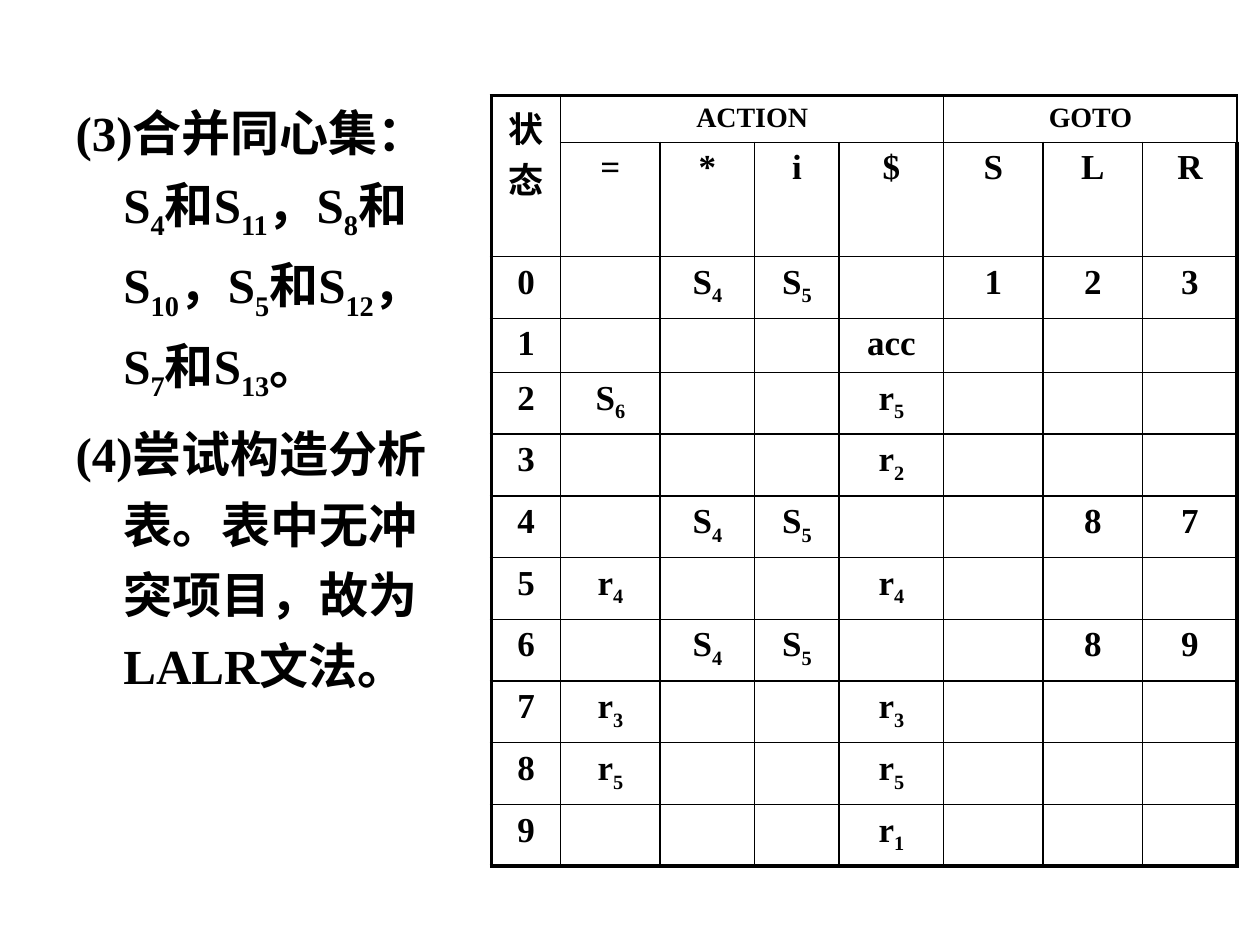
from lxml.etree import SubElement
from pptx import Presentation
from pptx.dml.color import RGBColor
from pptx.enum.text import MSO_ANCHOR, MSO_AUTO_SIZE, PP_ALIGN
from pptx.oxml.ns import qn
from pptx.util import Inches, Pt

COLORS = {"ink": "000000"}
BODY = {"size": Pt(28), "bold": True, "name": "Times New Roman"}
CELL = {**BODY, "size": Pt(20)}
GROUP = {**BODY, "size": Pt(16)}

NOTES = [
    "(3)合并同心集：S_4_和S_11_，S_8_和S_10_，S_5_和S_12_，S_7_和S_13_。",
    "(4)尝试构造分析表。表中无冲突项目，故为LALR文法。",
]
COLUMNS = [0.55, 0.79, 0.75, 0.67, 0.83, 0.79, 0.79, 0.75]
ROW_HEIGHTS = [0.37, 0.43, 0.49, 0.43] + [0.49] * 8
MERGES = [(0, 0, 1, 0), (0, 1, 0, 4), (0, 5, 0, 7)]
PARSE_TABLE = [
    ["状态", "ACTION", "", "", "", "GOTO", "", ""],
    ["", "=", "*", "i", "$", "S", "L", "R"],
    ["0", "", "S_4", "S_5", "", "1", "2", "3"],
    ["1", "", "", "", "acc", "", "", ""],
    ["2", "S_6", "", "", "r_5", "", "", ""],
    ["3", "", "", "", "r_2", "", "", ""],
    ["4", "", "S_4", "S_5", "", "", "8", "7"],
    ["5", "r_4", "", "", "r_4", "", "", ""],
    ["6", "", "S_4", "S_5", "", "", "8", "9"],
    ["7", "r_3", "", "", "r_3", "", "", ""],
    ["8", "r_5", "", "", "r_5", "", "", ""],
    ["9", "", "", "", "r_1", "", "", ""],
]


class SlideBuilder:
    def __init__(self, prs):
        self.s = prs.slides.add_slide(prs.slide_layouts[1])
        title = self.s.shapes.title._element
        title.getparent().remove(title)

    def add_text(self, p, text, style):
        for i, part in enumerate(text.split("_")):
            if not part:
                continue
            r = p.add_run()
            r.text = part
            for key, value in style.items():
                setattr(r.font, key, value)
            r.font.color.rgb = RGBColor.from_string(COLORS["ink"])
            if i % 2:
                r.font._element.set("baseline", "-25000")

    def body(self, paragraphs, left, top, width, height):
        sp = self.s.placeholders[1]
        sp.left, sp.top = Inches(left), Inches(top)
        sp.width, sp.height = Inches(width), Inches(height)
        tf = sp.text_frame
        tf.word_wrap = True
        tf.auto_size = MSO_AUTO_SIZE.NONE
        tf.vertical_anchor = MSO_ANCHOR.TOP
        for i, text in enumerate(paragraphs):
            p = tf.add_paragraph() if i else tf.paragraphs[0]
            p.line_spacing = 1.2
            p.space_before = Pt(5.6 if i else 0)
            pPr = p._p.get_or_add_pPr()
            pPr.set("marL", str(Inches(0.38)))
            pPr.set("indent", str(Inches(-0.38)))
            SubElement(pPr, qn("a:buNone"))
            self.add_text(p, text, BODY)

    def border(self, cell, outer):
        tcPr = cell._tc.get_or_add_tcPr()
        for side in "LRTB":
            width = Pt(2.25 if side in outer else 1)
            ln = SubElement(tcPr, qn(f"a:ln{side}"), w=str(width))
            fill = SubElement(ln, qn("a:solidFill"))
            SubElement(fill, qn("a:srgbClr"), val=COLORS["ink"])

    def table(self, data, left, top):
        rows, cols = len(data), len(COLUMNS)
        table = self.s.shapes.add_table(
            rows, cols, Inches(left), Inches(top),
            Inches(sum(COLUMNS)), Inches(sum(ROW_HEIGHTS))).table
        table.first_row = table.horz_banding = False
        for column, width in zip(table.columns, COLUMNS):
            column.width = Inches(width)
        for row, height in zip(table.rows, ROW_HEIGHTS):
            row.height = Inches(height)
        for r1, c1, r2, c2 in MERGES:
            table.cell(r1, c1).merge(table.cell(r2, c2))
        for i, row in enumerate(data):
            for j, text in enumerate(row):
                cell = table.cell(i, j)
                edges = {"L": j == 0, "R": j == cols - 1,
                         "T": i == 0, "B": i == rows - 1}
                self.border(cell, [side for side in edges if edges[side]])
                cell.fill.background()
                p = cell.text_frame.paragraphs[0]
                p.alignment = PP_ALIGN.CENTER
                self.add_text(p, text, GROUP if i == 0 and j else CELL)


def main():
    prs = Presentation()
    prs.slide_width, prs.slide_height = Inches(10), Inches(7.5)
    slide = SlideBuilder(prs)
    slide.body(NOTES, 0.5, 0.67, 3.16, 5.29)
    slide.table(PARSE_TABLE, 3.9, 0.76)
    prs.save("out.pptx")


if __name__ == "__main__":
    main()
